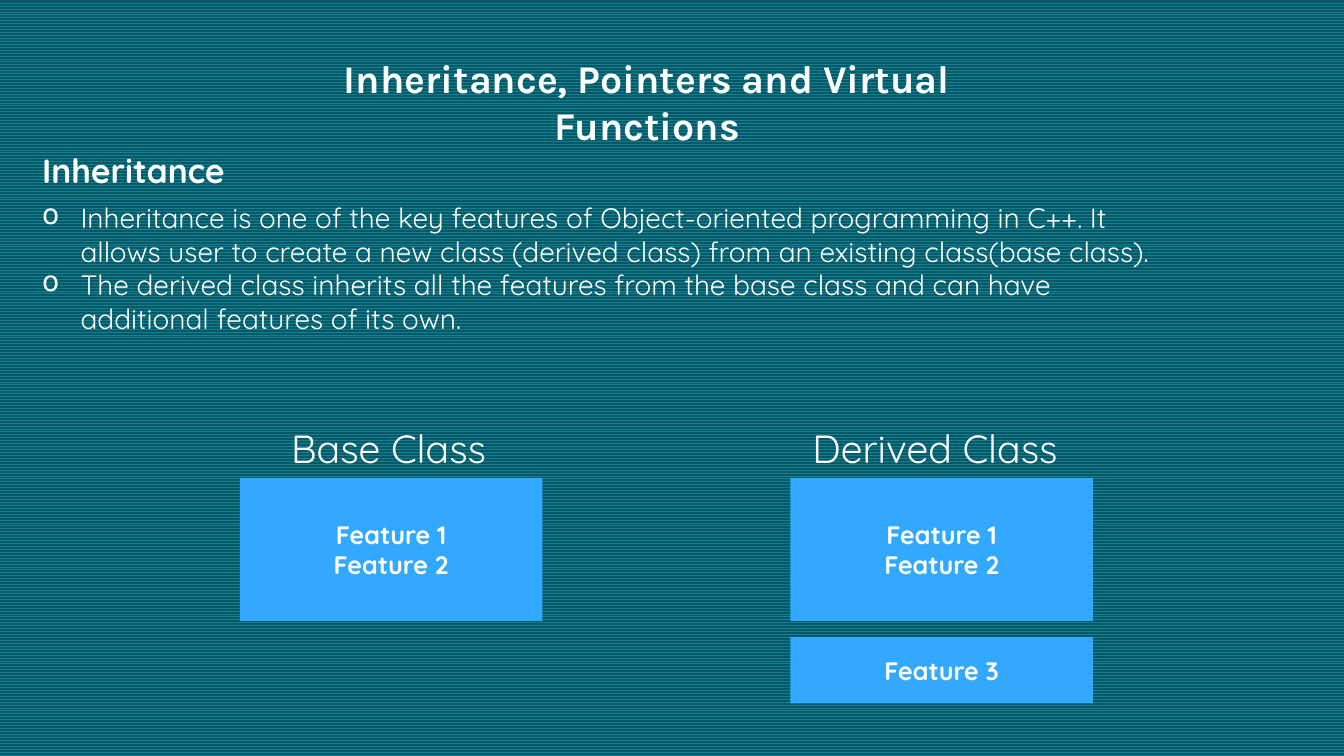
from lxml.etree import SubElement
from pptx import Presentation
from pptx.dml.color import RGBColor
from pptx.enum.dml import MSO_PATTERN
from pptx.enum.shapes import MSO_SHAPE
from pptx.enum.text import MSO_ANCHOR as ANCHOR, PP_ALIGN as ALIGN
from pptx.oxml.ns import qn
from pptx.util import Inches, Pt

WHITE = "FFFFFF"
BOX_BLUE = "32A9FF"
BOX_WIDTH = 3
BASE_LEFT, DERIVED_LEFT = 2.38, 7.84
LABEL_TOP, SHARED_TOP, EXTRA_TOP = 4.16, 4.74, 6.32


def color(hex_value):
    return RGBColor.from_string(hex_value)


def set_background(slide, foreground, background):
    fill = slide.background.fill
    fill.patterned()
    fill.pattern = MSO_PATTERN.ZIG_ZAG
    fill.fore_color.rgb = color(foreground)
    fill.back_color.rgb = color(background)


def add_bullet(paragraph, character="o", indent=0.38):
    properties = paragraph._p.get_or_add_pPr()
    properties.set("marL", str(Inches(indent)))
    properties.set("indent", str(-Inches(indent)))
    SubElement(properties, qn("a:buChar")).set("char", character)


def write_text(shape, lines, size, font="Quicksand", bold=False,
               align=ALIGN.LEFT, anchor=ANCHOR.TOP, bullets=False):
    frame = shape.text_frame
    frame.word_wrap = True
    frame.vertical_anchor = anchor
    frame.text = "\n".join(lines)
    for paragraph in frame.paragraphs:
        paragraph.alignment = align
        paragraph.font.size = Pt(size)
        for run in paragraph.runs:
            run.font.name = font
            run.font.size = Pt(size)
            run.font.bold = bold
            run.font.color.rgb = color(WHITE)
        if bullets:
            add_bullet(paragraph)


def add_text(slide, left, top, width, height, lines, **text_format):
    box = slide.shapes.add_textbox(
        Inches(left), Inches(top), Inches(width), Inches(height))
    write_text(box, lines, **text_format)


def add_feature_box(slide, left, top, height, features):
    box = slide.shapes.add_shape(
        MSO_SHAPE.RECTANGLE, Inches(left), Inches(top),
        Inches(BOX_WIDTH), Inches(height))
    box.shadow.inherit = False
    box.fill.solid()
    box.fill.fore_color.rgb = color(BOX_BLUE)
    box.line.fill.background()
    write_text(box, features, size=18, bold=True,
               align=ALIGN.CENTER, anchor=ANCHOR.MIDDLE)


def main():
    presentation = Presentation()
    presentation.slide_width = Inches(13.33)
    presentation.slide_height = Inches(7.5)
    slide = presentation.slides.add_slide(presentation.slide_layouts[6])
    set_background(slide, "0D8295", "085764")

    add_text(slide, 2.87, 0.49, 7.09, 0.57,
             ["Inheritance, Pointers and Virtual Functions"],
             size=28, font="Karla", bold=True, align=ALIGN.CENTER)
    add_text(slide, 0.32, 1.44, 2.06, 0.5, ["Inheritance"], size=24, bold=True)
    add_text(slide, 0.32, 1.94, 11.28, 1.78, [
        "Inheritance is one of the key features of Object-oriented programming "
        "in C++. It allows user to create a new class (derived class) from an "
        "existing class(base class).",
        "The derived class inherits all the features from the base class and "
        "can have additional features of its own.",
    ], size=20, bullets=True)

    for label, label_left, label_width, box_left in (
            ("Base Class", 2.79, 2.18, BASE_LEFT),
            ("Derived Class", 7.96, 2.77, DERIVED_LEFT)):
        add_text(slide, label_left, LABEL_TOP, label_width, 0.57, [label],
                 size=28, anchor=ANCHOR.MIDDLE)
        add_feature_box(slide, box_left, SHARED_TOP, 1.42,
                        ["Feature 1", "Feature 2"])
    add_feature_box(slide, DERIVED_LEFT, EXTRA_TOP, 0.66, ["Feature 3"])

    presentation.save("out.pptx")


if __name__ == "__main__":
    main()
